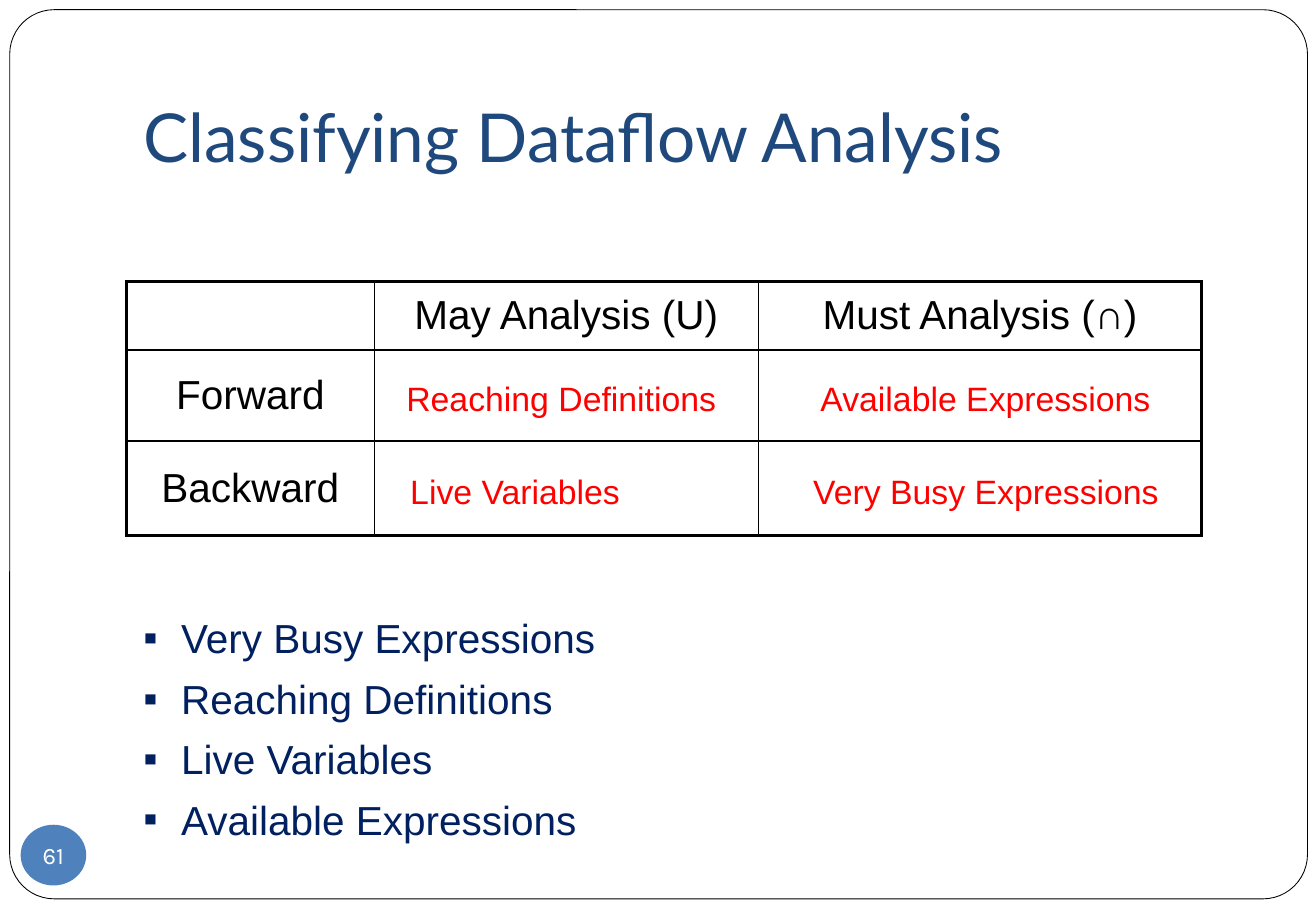
from lxml.etree import SubElement
from pptx import Presentation
from pptx.dml.color import RGBColor
from pptx.enum.shapes import MSO_SHAPE
from pptx.enum.text import MSO_ANCHOR, MSO_AUTO_SIZE, PP_ALIGN
from pptx.oxml.ns import qn
from pptx.util import Inches, Pt

THEME = {
    "title": {"name": "Lato", "size": Pt(40), "color": "1F497D"},
    "table": {"name": "Arial", "size": Pt(24), "color": "000000"},
    "answer": {"name": "Arial", "size": Pt(20), "color": "FF0000"},
    "list": {"name": "Arial", "size": Pt(24), "color": "002060"},
    "number": {"name": "Karla", "size": Pt(14), "color": "FFFFFF"},
    "frame": "FFFFFF",
    "line": "000000",
    "badge": "4F81BD",
}


def apply(target, values):
    for key, value in values.items():
        setattr(target, key, value)


def write(paragraph, text, role, align=PP_ALIGN.LEFT):
    run = paragraph.add_run()
    run.text = text
    paragraph.alignment = align
    style = THEME[role]
    apply(run.font, {"name": style["name"], "size": style["size"], "bold": False})
    run.font.color.rgb = RGBColor.from_string(style["color"])


presentation = Presentation()
apply(presentation, {"slide_width": Inches(10.83), "slide_height": Inches(7.5)})
slide = presentation.slides.add_slide(presentation.slide_layouts[1])
shapes = slide.shapes
heading, analyses = slide.placeholders

frame = shapes.add_shape(
    MSO_SHAPE.ROUNDED_RECTANGLE, Inches(0.08), Inches(0.08), Inches(10.68), Inches(7.32)
)
frame.adjustments[0] = 0.05
frame.shadow.inherit = False
frame.fill.solid()
frame.fill.fore_color.rgb = RGBColor.from_string(THEME["frame"])
frame.line.color.rgb = RGBColor.from_string(THEME["line"])
frame.line.width = Pt(0.5)
heading._element.addprevious(frame._element)

apply(heading, {"left": Inches(1.08), "top": Inches(0.3),
                "width": Inches(9.21), "height": Inches(1.25)})
apply(heading.text_frame, {
    "vertical_anchor": MSO_ANCHOR.BOTTOM, "auto_size": MSO_AUTO_SIZE.NONE,
    "margin_left": Inches(0.1), "margin_right": Inches(0.1),
    "margin_top": Inches(0.05), "margin_bottom": Inches(0.1),
})
write(heading.text_frame.paragraphs[0], "Classifying Dataflow Analysis", "title")

labels = [
    ["", "May Analysis (U)", "Must Analysis (∩)"],
    ["Forward", "", ""],
    ["Backward", "", ""],
]
widths = [2.04, 3.16, 3.65]
heights = [0.56, 0.75, 0.78]
grid = shapes.add_table(
    3, 3, Inches(1.04), Inches(2.32), Inches(sum(widths)), Inches(sum(heights))
).table
for column, width in zip(grid.columns, widths):
    column.width = Inches(width)
for row, height in zip(grid.rows, heights):
    row.height = Inches(height)
for r, row_labels in enumerate(labels):
    for c, label in enumerate(row_labels):
        cell = grid.cell(r, c)
        apply(cell, {
            "vertical_anchor": MSO_ANCHOR.MIDDLE,
            "margin_left": Inches(0.1), "margin_right": Inches(0.1),
            "margin_top": Inches(0.04), "margin_bottom": Inches(0.04),
        })
        if label:
            write(cell.text_frame.paragraphs[0], label, "table", PP_ALIGN.CENTER)
        properties = cell._tc.get_or_add_tcPr()
        outer_edges = {"a:lnL": c == 0, "a:lnR": c == 2, "a:lnT": r == 0, "a:lnB": r == 2}
        for edge, outer in outer_edges.items():
            border = SubElement(properties, qn(edge), w=str(Pt(2.25 if outer else 1)))
            border_fill = SubElement(border, qn("a:solidFill"))
            SubElement(border_fill, qn("a:srgbClr"), val=THEME["line"])
        cell.fill.background()

answers = [
    ("Reaching Definitions", 3.23, 3.06, 2.78),
    ("Available Expressions", 6.64, 3.06, 2.94),
    ("Live Variables", 3.27, 3.83, 1.94),
    ("Very Busy Expressions", 6.58, 3.83, 3.07),
]
for text, left, top, width in answers:
    answer = shapes.add_textbox(Inches(left), Inches(top), Inches(width), Inches(0.44))
    apply(answer.text_frame, {"word_wrap": False, "auto_size": MSO_AUTO_SIZE.SHAPE_TO_FIT_TEXT})
    write(answer.text_frame.paragraphs[0], text, "answer", PP_ALIGN.CENTER)

apply(analyses, {"left": Inches(1.08), "top": Inches(5),
                 "width": Inches(5.42), "height": Inches(1.97)})
apply(analyses.text_frame, {"word_wrap": True, "auto_size": MSO_AUTO_SIZE.NONE})
names = ["Very Busy Expressions", "Reaching Definitions", "Live Variables", "Available Expressions"]
for i, name in enumerate(names):
    item = analyses.text_frame.add_paragraph() if i else analyses.text_frame.paragraphs[0]
    write(item, name, "list")
    apply(item, {"space_before": Pt(1), "space_after": Pt(6)})
    item_properties = item._p.get_or_add_pPr()
    item_properties.set("marL", str(Inches(0.31)))
    item_properties.set("indent", str(Inches(-0.31)))
    SubElement(item_properties, qn("a:buFont"), typeface="Arial")
    SubElement(item_properties, qn("a:buChar"), char="▪")

badge = shapes.add_shape(
    MSO_SHAPE.OVAL, Inches(0.17), Inches(6.79), Inches(0.54), Inches(0.5)
)
badge.shadow.inherit = False
badge.fill.solid()
badge.fill.fore_color.rgb = RGBColor.from_string(THEME["badge"])
badge.line.fill.background()
apply(badge.text_frame, {
    "word_wrap": False, "vertical_anchor": MSO_ANCHOR.MIDDLE,
    "margin_left": 0, "margin_right": 0, "margin_top": 0, "margin_bottom": 0,
})
write(badge.text_frame.paragraphs[0], "61", "number", PP_ALIGN.CENTER)

presentation.save("out.pptx")
